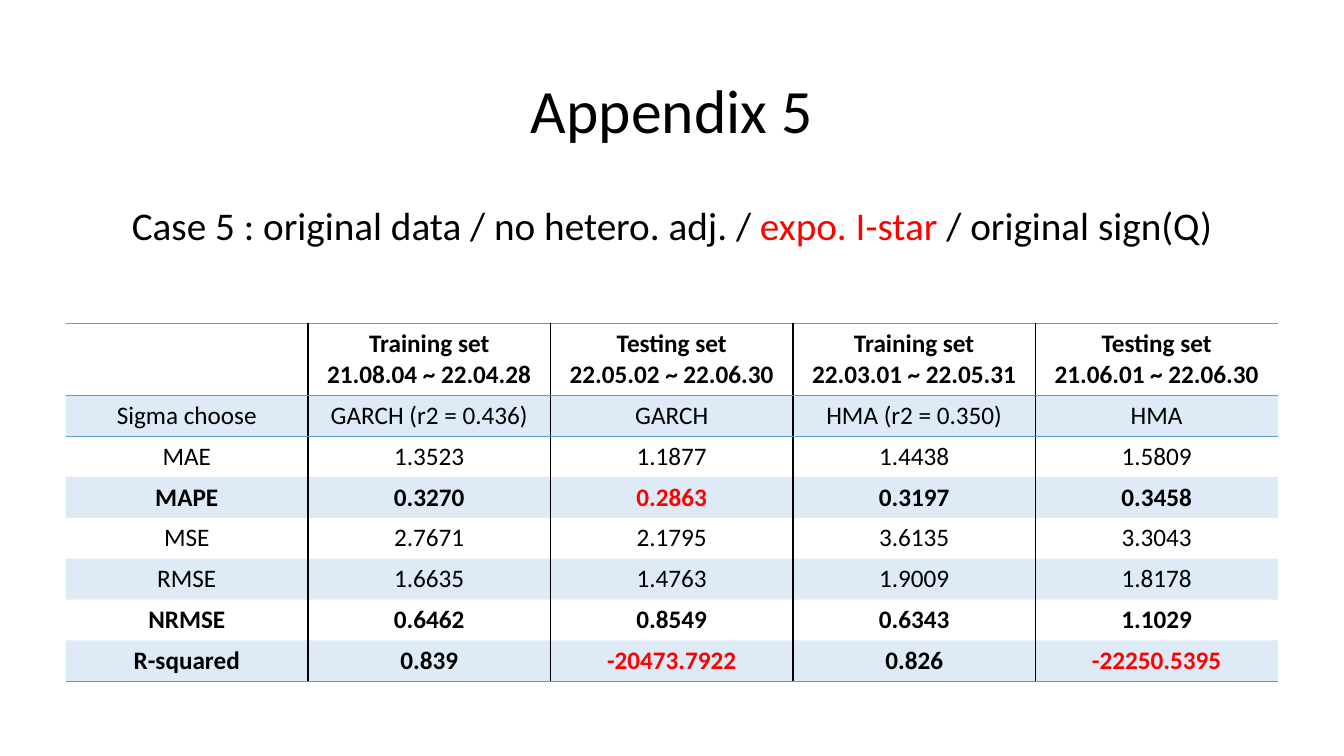
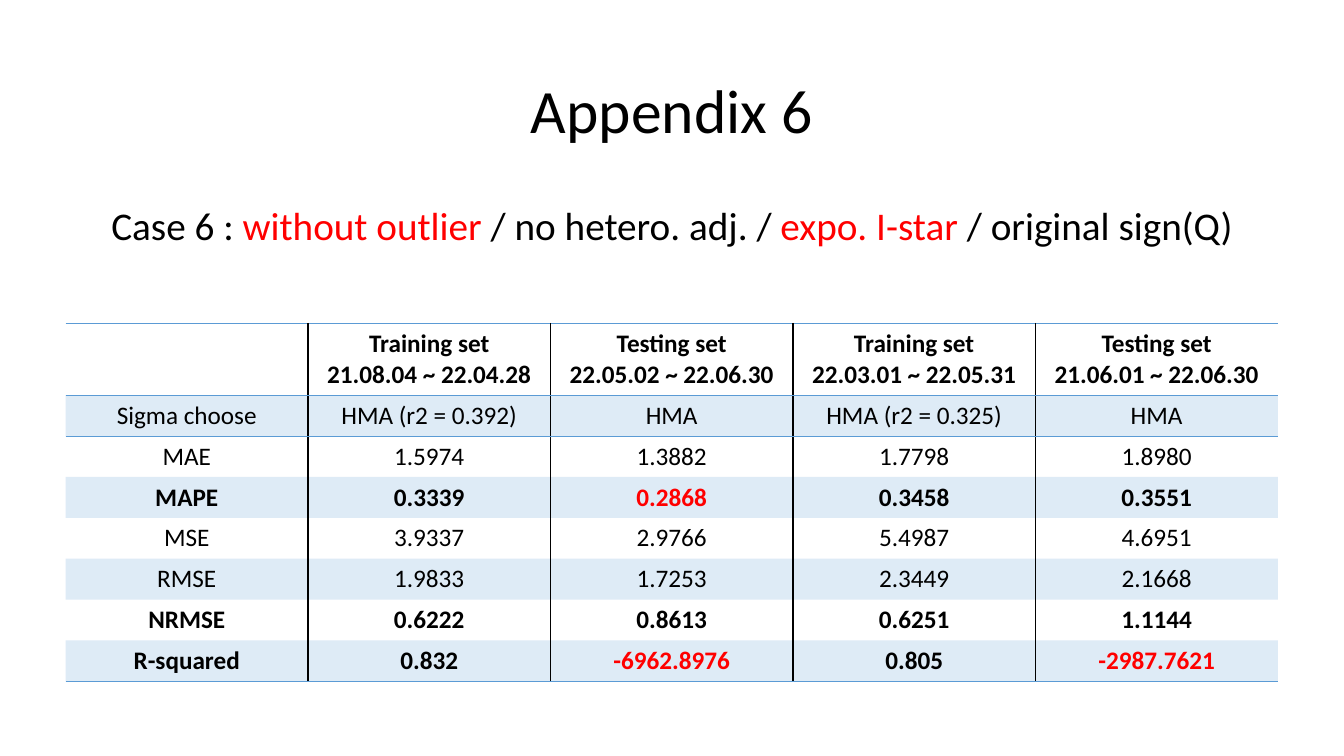
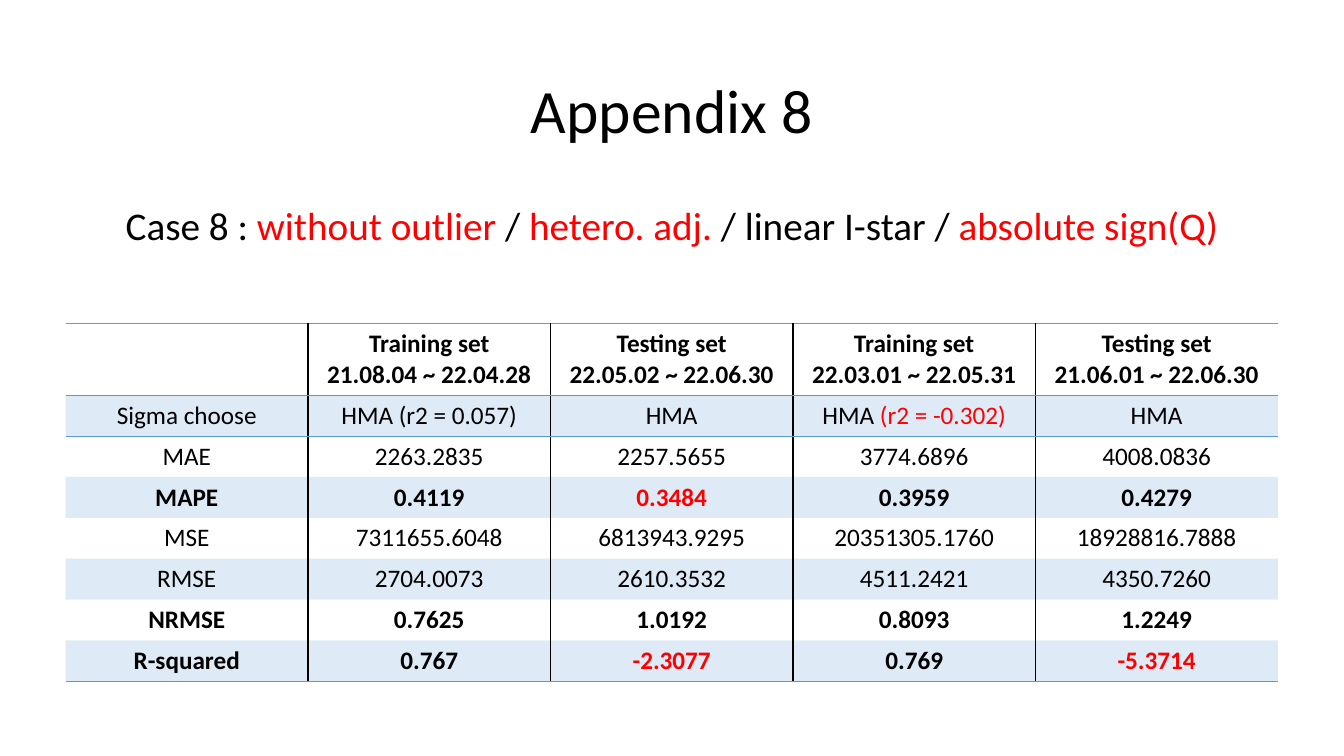
import dataclasses

import lxml.etree
import pptx
import pptx.dml.color
import pptx.enum.text
import pptx.oxml.ns
import pptx.util

Pt = pptx.util.Pt
qn = pptx.oxml.ns.qn


@dataclasses.dataclass(frozen=True)
class Theme:
    font: str = "Calibri"
    ink: str = "000000"
    alert: str = "FF0000"
    accent: str = "5B9BD5"
    band_opacity: int = 20
    title_size: int = 44
    case_size: int = 28
    table_size: int = 18
    tight: float = 0.9
    plain_table: str = "{2D5ABB26-0587-4C30-8999-92F81FD0307C}"


THEME = Theme()

# Boxes: left, top, width, height in points
TITLE_BOX = (66, 28.8, 828, 104.4)
CASE_BOX = (66, 144, 828, 80)
TABLE_BOX = (46.8, 231.1, 866, 255.6)
HEADER_HEIGHT = 51.2

# Text between asterisks is shown in the alert colour
HEADINGS = ["", "Training set\n21.08.04 ~ 22.04.28", "Testing set\n22.05.02 ~ 22.06.30",
            "Training set\n22.03.01 ~ 22.05.31", "Testing set\n21.06.01 ~ 22.06.30"]
MEASURES = ["Sigma choose", "MAE", "MAPE", "MSE", "RMSE", "NRMSE", "R-squared"]
KEY_MEASURES = {"MAPE", "NRMSE", "R-squared"}

APPENDICES = [
    ("Appendix 5",
     "Case 5 : original data / no hetero. adj. / *expo. I-star *"
     "/ original sign(Q)",
     [["GARCH (r2 = 0.436)", "GARCH", "HMA (r2 = 0.350)", "HMA"],
      ["1.3523", "1.1877", "1.4438", "1.5809"],
      ["0.3270", "*0.2863*", "0.3197", "0.3458"],
      ["2.7671", "2.1795", "3.6135", "3.3043"],
      ["1.6635", "1.4763", "1.9009", "1.8178"],
      ["0.6462", "0.8549", "0.6343", "1.1029"],
      ["0.839", "*-20473.7922*", "0.826", "*-22250.5395*"]]),
    ("Appendix 6",
     "Case 6 : *without outlier */ no hetero. adj. / *expo. I-star *"
     "/ original sign(Q)",
     [["HMA (r2 = 0.392)", "HMA", "HMA (r2 = 0.325)", "HMA"],
      ["1.5974", "1.3882", "1.7798", "1.8980"],
      ["0.3339", "*0.2868*", "0.3458", "0.3551"],
      ["3.9337", "2.9766", "5.4987", "4.6951"],
      ["1.9833", "1.7253", "2.3449", "2.1668"],
      ["0.6222", "0.8613", "0.6251", "1.1144"],
      ["0.832", "*-6962.8976*", "0.805", "*-2987.7621*"]]),
    ("Appendix 8",
     "Case 8 : *without outlier* / *hetero. adj. */ linear I-star / "
     "*absolute sign(Q)*",
     [["HMA (r2 = 0.057)", "HMA", "HMA *(r2 = -0.302)*", "HMA"],
      ["2263.2835", "2257.5655", "3774.6896", "4008.0836"],
      ["0.4119", "*0.3484*", "0.3959", "0.4279"],
      ["7311655.6048", "6813943.9295", "20351305.1760", "18928816.7888"],
      ["2704.0073", "2610.3532", "4511.2421", "4350.7260"],
      ["0.7625", "1.0192", "0.8093", "1.2249"],
      ["0.767", "*-2.3077*", "0.769", "*-5.3714*"]]),
]


def write(frame, text, *, size, bold=False, spacing=None):
    """Write centred lines, colouring the parts between asterisks."""
    for number, line in enumerate(text.split("\n")):
        paragraph = frame.add_paragraph() if number else frame.paragraphs[0]
        paragraph.alignment = pptx.enum.text.PP_ALIGN.CENTER
        paragraph.line_spacing = spacing
        paragraph.font.size = Pt(size)
        for part, words in enumerate(line.split("*")):
            if not words:
                continue
            run = paragraph.add_run()
            run.text = words
            run.font.name = THEME.font
            run.font.size = Pt(size)
            run.font.bold = bold
            run.font.color.rgb = pptx.dml.color.RGBColor.from_string(
                THEME.alert if part % 2 else THEME.ink)


def place_title(slide, box, text):
    title = slide.shapes.title
    title.left, title.top, title.width, title.height = map(Pt, box)
    title.text_frame.vertical_anchor = pptx.enum.text.MSO_ANCHOR.MIDDLE
    write(title.text_frame, text, size=THEME.title_size, spacing=THEME.tight)


def place_case(slide, box, text):
    case = slide.shapes.add_textbox(*map(Pt, box)).text_frame
    case.word_wrap = True
    write(case, text, size=THEME.case_size, spacing=THEME.tight)


def add_border(cell, side, color, width):
    border = lxml.etree.SubElement(cell._tc.get_or_add_tcPr(), qn(f"a:ln{side}"), w=str(Pt(width)))
    fill = lxml.etree.SubElement(border, qn("a:solidFill"))
    lxml.etree.SubElement(fill, qn("a:srgbClr"), val=color)


def rule_cell(cell, row, column, last_row, last_column):
    """Draw column rules of alternating weight, and lines around header and foot."""
    if column > 0:
        add_border(cell, "L", THEME.ink, 1 if column % 2 else 0.5)
    if column < last_column:
        add_border(cell, "R", THEME.ink, 0.5 if column % 2 else 1)
    if row in (0, 1):
        add_border(cell, "T", THEME.accent, 1)
    if row in (0, last_row):
        add_border(cell, "B", THEME.accent, 1)


def fill_cell(cell, banded):
    if not banded:
        cell.fill.background()
        return
    cell.fill.solid()
    cell.fill.fore_color.rgb = pptx.dml.color.RGBColor.from_string(THEME.accent)
    color = cell._tc.tcPr.find(qn("a:solidFill")).find(qn("a:srgbClr"))
    lxml.etree.SubElement(color, qn("a:alpha"), val=str(THEME.band_opacity * 1000))


def place_results(slide, box, results):
    rows = [HEADINGS] + [[measure, *values] for measure, values in zip(MEASURES, results)]
    last_row, last_column = len(rows) - 1, len(HEADINGS) - 1
    table = slide.shapes.add_table(len(rows), len(HEADINGS), *map(Pt, box)).table
    table._tbl.tblPr.find(qn("a:tableStyleId")).text = THEME.plain_table

    # Equal columns, and equal rows below the header
    for column in table.columns:
        column.width = Pt(box[2] / len(HEADINGS))
    for number, row in enumerate(table.rows):
        row.height = Pt((box[3] - HEADER_HEIGHT) / last_row if number else HEADER_HEIGHT)

    for r, texts in enumerate(rows):
        bold = r == 0 or texts[0] in KEY_MEASURES
        for c, text in enumerate(texts):
            cell = table.cell(r, c)
            write(cell.text_frame, text, size=THEME.table_size, bold=bold)
            rule_cell(cell, r, c, last_row, last_column)
            fill_cell(cell, banded=r % 2 == 1)


def add_appendix(deck, title, case, results):
    slide = deck.slides.add_slide(deck.slide_layouts.get_by_name("Title Only"))
    place_title(slide, TITLE_BOX, title)
    place_case(slide, CASE_BOX, case)
    place_results(slide, TABLE_BOX, results)


def main():
    deck = pptx.Presentation()
    deck.slide_width, deck.slide_height = Pt(960), Pt(540)
    for title, case, results in APPENDICES:
        add_appendix(deck, title, case, results)
    deck.save("out.pptx")


if __name__ == "__main__":
    main()
